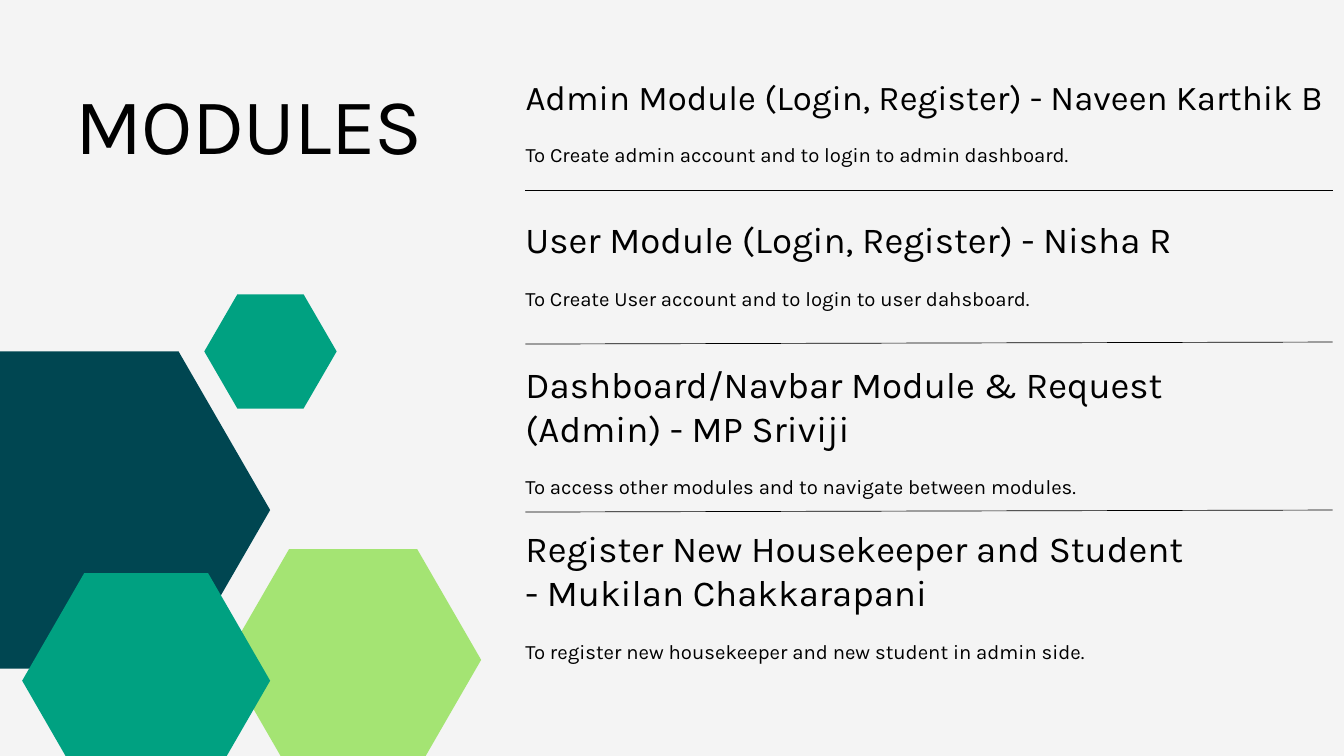
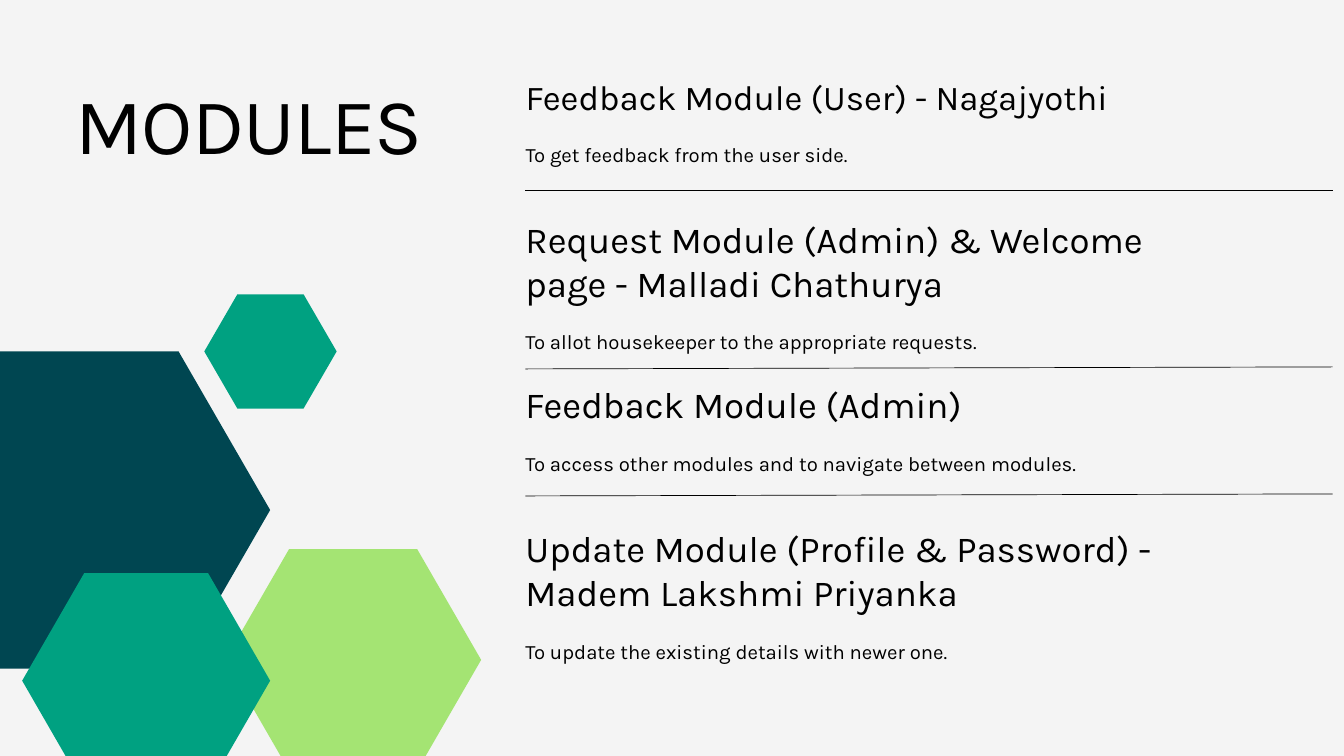
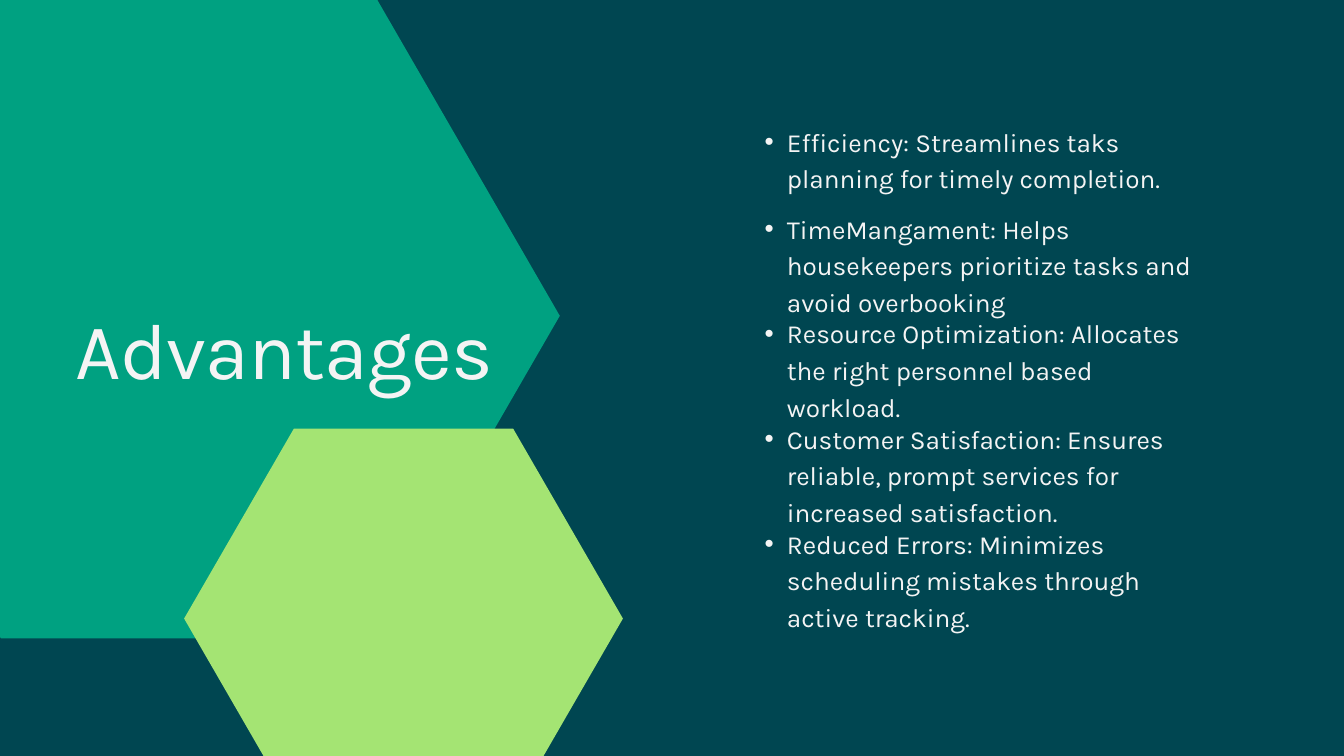
import pptx
import pptx.dml.color
import pptx.enum.shapes
import pptx.enum.text
import pptx.oxml.ns
import pptx.util
from lxml import etree

Inches = pptx.util.Inches
Pt = pptx.util.Pt
RGBColor = pptx.dml.color.RGBColor
qn = pptx.oxml.ns.qn

# Shared style
FONT = "Karla"
PALE = RGBColor(0xF4, 0xF4, 0xF4)
BLACK = RGBColor(0x00, 0x00, 0x00)
NAVY = RGBColor(0x00, 0x46, 0x51)
GREEN = RGBColor(0x00, 0xA1, 0x81)
LIME = RGBColor(0xA4, 0xE4, 0x73)

LEFT = 1.12
TITLE_HEIGHT = 1.41
MODULE_LEFT = 7.82
MODULE_WIDTH = 9.87
RULE_WIDTH = 12.01
HEADING_GAP = 0.32
BULLET_INDENT = 0.33

# Heading styles: size in points, box width, box height
FIRST = (37.3, RULE_WIDTH, 0.62)
ONE_LINE = (39.3, MODULE_WIDTH, 0.66)
TWO_LINES = (39.3, MODULE_WIDTH, 1.3)

# Left, top, width, height, colour
MODULE_HEXAGONS = [
    (-1.43, 5.23, 5.45, 4.72, NAVY),
    (3.35, 8.17, 3.81, 3.3, LIME),
    (3.04, 4.38, 1.97, 1.7, GREEN),
    (0.33, 8.53, 3.69, 3.2, GREEN),
]
ADVANTAGE_HEXAGONS = [
    (-2.76, -0.1, 11.09, 9.6, GREEN),
    (2.74, 6.38, 6.53, 5.65, LIME),
]

# Top, heading style, heading, description
MODULE_SLIDES = [
    {
        "modules": [
            (1.12, FIRST, "Admin Module (Login, Register) - Naveen Karthik B",
             "To Create admin account and to login to admin dashboard."),
            (3.22, ONE_LINE, "User Module (Login, Register) - Nisha R",
             "To Create User account and to login to user dahsboard."),
            (5.38, TWO_LINES, "Dashboard/Navbar Module & Request (Admin) - MP Sriviji",
             "To access other modules and to navigate between modules."),
            (7.83, TWO_LINES, "Register New Housekeeper and Student - Mukilan Chakkarapani",
             "To register new housekeeper and new student in admin side."),
        ],
        "rules": [(2.83, 2.83), (5.12, 5.09), (7.62, 7.59)],
    },
    {
        "modules": [
            (1.12, FIRST, "Feedback Module (User) - Nagajyothi",
             "To get feedback from the user side."),
            (3.22, TWO_LINES, "Request Module (Admin) & Welcome page - Malladi Chathurya",
             "To allot housekeeper to the appropriate requests."),
            (5.68, ONE_LINE, "Feedback Module (Admin)",
             "To access other modules and to navigate between modules."),
            (7.83, TWO_LINES, "Update Module (Profile & Password) - Madem Lakshmi Priyanka",
             "To update the existing details with newer one."),
        ],
        "rules": [(2.83, 2.83), (5.49, 5.46), (7.38, 7.35)],
    },
]

# Top, box height, text
ADVANTAGES = [
    (1.8, 1.07, "Efficiency: Streamlines taks planning for timely completion."),
    (3.09, 1.61, "TimeMangament: Helps housekeepers prioritize tasks and avoid overbooking"),
    (4.65, 1.61, "Resource Optimization: Allocates the right personnel based workload."),
    (6.22, 1.61, "Customer Satisfaction: Ensures reliable, prompt services for increased satisfaction."),
    (7.78, 1.61, "Reduced Errors: Minimizes scheduling mistakes through active tracking."),
]


def write_text(frame, text, *, size, color=BLACK, leading=1.2, tracking=0, bullet=False):
    """Fill the frame's first paragraph; leading is a multiple of the text size."""
    para = frame.paragraphs[0]
    if bullet:
        para.level = 1
        props = para._p.get_or_add_pPr()
        props.set("marL", str(Inches(2 * BULLET_INDENT)))
        props.set("indent", str(-Inches(BULLET_INDENT)))
        etree.SubElement(props, qn("a:buFont")).set("typeface", "Arial")
        etree.SubElement(props, qn("a:buChar")).set("char", "•")
    para.line_spacing = Pt(round(size * leading, 1))
    span = para.add_run()
    span.text = text
    span.font.name = FONT
    span.font.size = Pt(size)
    span.font.color.rgb = color
    if tracking:
        span._r.get_or_add_rPr().set("spc", str(round(tracking * 100)))


class SlideBuilder:
    def __init__(self):
        self.deck = pptx.Presentation()
        self.deck.slide_width = Inches(20)
        self.deck.slide_height = Inches(11.25)
        self.page = None

    def new_page(self, background):
        self.page = self.deck.slides.add_slide(self.deck.slide_layouts[6])
        fill = self.page.background.fill
        fill.solid()
        fill.fore_color.rgb = background

    def text(self, left, top, width, height, text, **style):
        box = self.page.shapes.add_textbox(
            Inches(left), Inches(top), Inches(width), Inches(height))
        frame = box.text_frame
        frame.margin_left = frame.margin_right = 0
        frame.margin_top = frame.margin_bottom = 0
        frame.word_wrap = True
        frame.auto_size = pptx.enum.text.MSO_AUTO_SIZE.SHAPE_TO_FIT_TEXT
        write_text(frame, text, **style)

    def title(self, top, width, text, color):
        self.text(LEFT, top, width, TITLE_HEIGHT, text, size=85, color=color, tracking=-0.8)

    def hexagons(self, hexagons):
        for left, top, width, height, color in hexagons:
            hexagon = self.page.shapes.add_shape(
                pptx.enum.shapes.MSO_SHAPE.HEXAGON,
                Inches(left), Inches(top), Inches(width), Inches(height))
            # Side points sit a quarter of the width in
            hexagon.adjustments[0] = 0.25 * width / height
            hexagon.shadow.inherit = False
            hexagon.fill.solid()
            hexagon.fill.fore_color.rgb = color
            hexagon.line.fill.background()

    def rule(self, start, end):
        line = self.page.shapes.add_connector(
            pptx.enum.shapes.MSO_CONNECTOR.STRAIGHT,
            Inches(MODULE_LEFT), Inches(start),
            Inches(MODULE_LEFT + RULE_WIDTH), Inches(end))
        line.line.color.rgb = BLACK
        line.line.width = Pt(0.75)
        etree.SubElement(line._element.spPr, qn("a:effectLst"))

    def module(self, top, style, heading, description):
        size, width, height = style
        self.text(MODULE_LEFT, top, width, height, heading, size=size)
        self.text(MODULE_LEFT, top + height + HEADING_GAP, width, 0.4, description,
                  size=21.8, leading=1.4)


def main():
    builder = SlideBuilder()

    # Modules
    for content in MODULE_SLIDES:
        builder.new_page(PALE)
        builder.title(1.12, 6.03, "MODULES", BLACK)
        builder.hexagons(MODULE_HEXAGONS)
        for module in content["modules"]:
            builder.module(*module)
        for start, end in content["rules"]:
            builder.rule(start, end)

    # Advantages
    builder.new_page(NAVY)
    builder.hexagons(ADVANTAGE_HEXAGONS)
    builder.title(4.46, 6.3, "Advantages", PALE)
    for top, height, advantage in ADVANTAGES:
        builder.text(11.05, top, 6.68, height, advantage,
                     size=28, color=PALE, leading=1.4, bullet=True)

    builder.deck.save("out.pptx")


if __name__ == "__main__":
    main()
